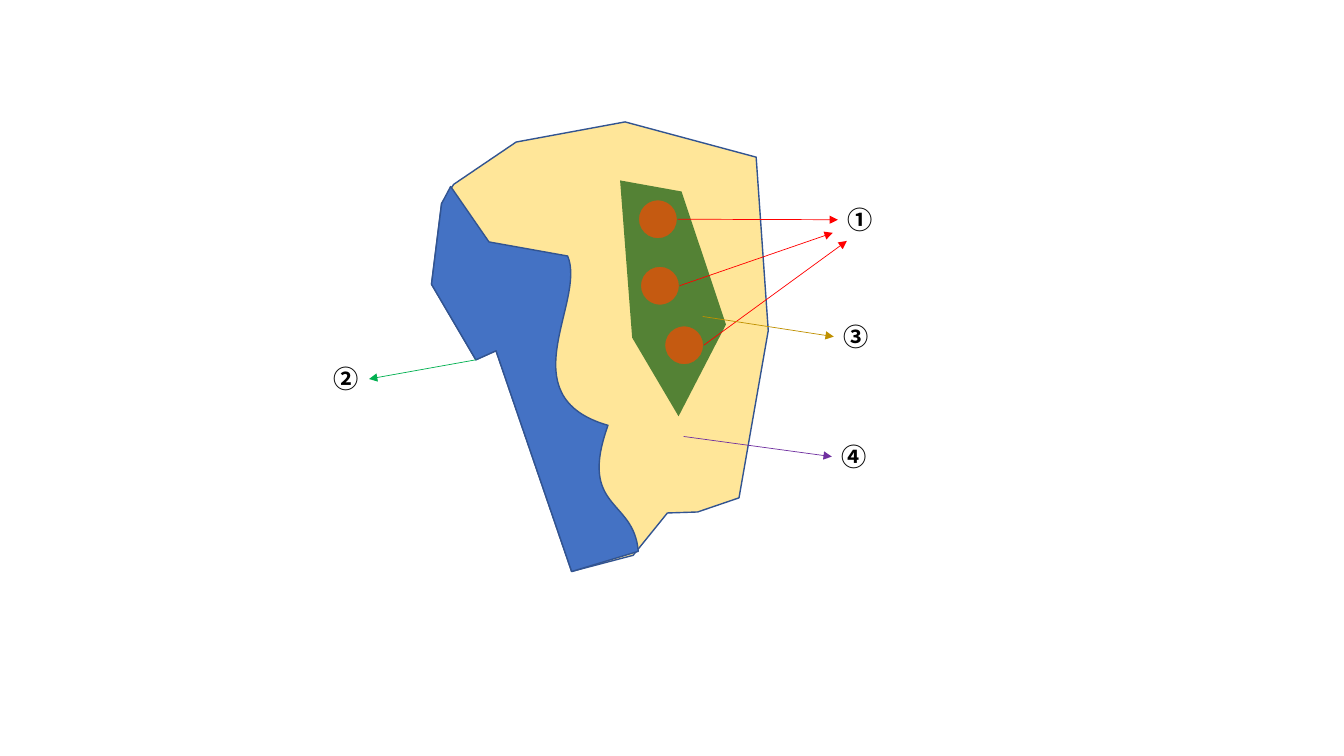
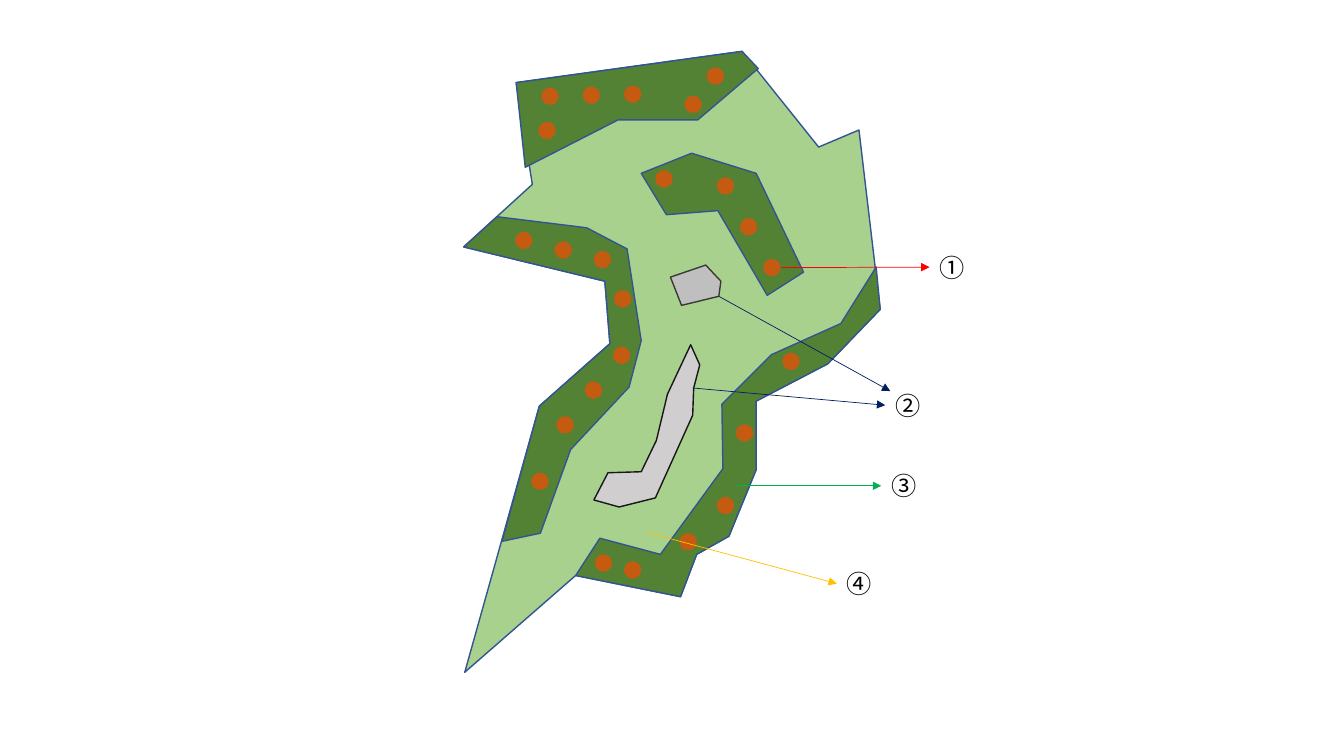
"""Builds two numbered site-zone diagrams as native shapes."""
from dataclasses import dataclass

from lxml.etree import SubElement
from pptx import Presentation
from pptx.dml.color import RGBColor
from pptx.enum.shapes import MSO_CONNECTOR as Connector, MSO_SHAPE as Preset
from pptx.enum.text import MSO_AUTO_SIZE as AutoSize
from pptx.oxml.ns import qn
from pptx.util import Inches, Pt


@dataclass(frozen=True)
class Theme:
    """Shared colours, type and line sizes."""
    font: str = "Noto Sans CJK KR"
    label_size: float = 18
    outline_width: float = 1
    arrow_width: float = 0.5
    ink: str = "000000"
    outline: str = "325491"
    sand: str = "FFE699"
    water: str = "4472C4"
    woods: str = "548235"
    lawn: str = "A9D18E"
    tree: str = "C55A11"
    stone: str = "BFBFBF"
    stone_edge: str = "3B3838"
    path_fill: str = "D0CECE"
    path_edge: str = "181717"
    red: str = "FF0000"
    green: str = "00B050"
    ochre: str = "BF9000"
    purple: str = "7030A0"
    navy: str = "002060"
    gold: str = "FFC000"


THEME = Theme()
SLIDE_SIZE = (13.33, 7.5)
LABEL_SIZE = (0.45, 0.4)
LEFT_SIDE, RIGHT_SIDE = 1, 3


def right_of(tree, size):
    """Return the middle of a tree's right side."""
    left, top = tree
    return left + size, top + size / 2


def plant(rows):
    """List the trees of all rows; a row with two ends gets a tree midway."""
    trees = []
    for row in rows:
        middle = tuple(sum(axis) / len(row) for axis in zip(*row))
        trees += [row[0], middle, row[-1]] if len(row) > 1 else row
    return trees


RIVER_BANK = [(4.38, 2.02), (4.28, 2.82), (4.72, 3.57), (4.92, 3.48), (5.67, 5.67)]
RIVER_SHORE = [(4.47, 1.85), (4.85, 2.4), (5.63, 2.54),
               (5.82, 2.99, 5.03, 3.93, 6.03, 4.22), (5.73, 5.06, 6.29, 4.94, 6.33, 5.47)]
SAND_EDGE = [(6.28, 5.51), (6.62, 5.09), (6.92, 5.08), (7.33, 4.94), (7.62, 3.28),
             (7.5, 1.56), (6.2, 1.21), (5.12, 1.41), (4.5, 1.83)]
THICKET = [(6.15, 1.79), (6.27, 3.35), (6.73, 4.13), (7.2, 3.22), (6.76, 1.9)]
BIG, SMALL = 0.39, 0.19
BIG_TREES = [(6.33, 1.98), (6.35, 2.64), (6.59, 3.23)]

WEST_EDGE = [(4.6, 2.45), (6, 2.79), (6.05, 3.41), (5.35, 4.03)]
WEST_INNER = [(4.98, 5.37), (5.36, 5.29), (5.66, 4.46), (6.24, 3.84), (6.36, 3.38),
              (6.22, 2.47), (5.82, 2.26), (4.93, 2.15)]
EAST_EDGE = [(5.71, 5.71), (6.75, 5.92), (6.91, 5.5), (7.23, 5.32), (7.5, 4.66),
             (7.5, 3.98), (8.21, 3.61), (8.73, 3.07)]
EAST_INNER = [(8.69, 2.65), (8.34, 3.21), (7.65, 3.52), (7.16, 4.01), (7.17, 4.65),
              (6.55, 5.5), (5.95, 5.34)]
NORTH_EDGE = [(7.36, 0.51), (5.12, 0.82)]
NORTH_INNER = [(5.21, 1.66), (6.13, 1.19), (6.92, 1.19), (7.52, 0.68)]
LAWN = (WEST_EDGE + [(4.61, 6.67)] + EAST_EDGE + [(8.52, 1.29), (8.12, 1.46)]
        + NORTH_EDGE + [(5.28, 1.83)])
GROVE = [(6.36, 1.72), (6.61, 2.13), (7.12, 2.09), (7.61, 2.93), (7.97, 2.7),
         (7.5, 1.72), (6.86, 1.52)]
STONE = [(7.13, 2.94), (7.15, 2.79), (7, 2.63), (6.65, 2.75), (6.76, 3.03)]
PATH = [(6.88, 3.85), (6.87, 4.12), (6.5, 4.94), (6.14, 5.03), (5.89, 4.96), (6.03, 4.69),
        (6.36, 4.68), (6.51, 4.37), (6.62, 3.91), (6.85, 3.42), (6.94, 3.62)]
SMALL_TREES = plant([
    [(5.1, 2.29), (5.88, 2.48)], [(6.08, 2.87)], [(6.07, 3.43), (5.51, 4.12)], [(5.26, 4.68)],
    [(5.33, 1.2)], [(5.36, 0.86), (6.18, 0.84)], [(6.78, 0.94)], [(7, 0.66)],
    [(7.75, 3.49)], [(7.29, 4.2)], [(7.1, 4.92)], [(6.73, 5.28)], [(6.18, 5.56)],
    [(5.89, 5.49)], [(6.49, 1.68)], [(7.1, 1.75), (7.56, 2.56)]])

FAN_ENDS = [("①", LEFT_SIDE), (8.26, 2.31), (8.4, 2.39)]

DIAGRAMS = [
    {
        "areas": [(THEME.sand, THEME.outline, SAND_EDGE + RIVER_BANK),
                  (THEME.water, THEME.outline, RIVER_SHORE + RIVER_BANK[::-1]),
                  (THEME.woods, None, THICKET)],
        "tree_size": BIG,
        "trees": BIG_TREES,
        "bold": True,
        "labels": {"①": (8.31, 1.98), "②": (3.21, 3.56),
                   "④": (8.25, 4.33), "③": (8.27, 3.14)},
        "arrows": [(THEME.red, right_of(tree, BIG), end)
                   for tree, end in zip(BIG_TREES, FAN_ENDS)] + [
            (THEME.green, RIVER_BANK[2], ("②", RIGHT_SIDE)),
            (THEME.ochre, (6.97, 3.14), ("③", LEFT_SIDE)),
            (THEME.purple, (6.78, 4.33), ("④", LEFT_SIDE))],
    },
    {
        "areas": [(THEME.lawn, THEME.outline, LAWN)] + [
            (THEME.woods, THEME.outline, belt)
            for belt in (NORTH_EDGE + NORTH_INNER, GROVE,
                         EAST_EDGE + EAST_INNER, WEST_EDGE + WEST_INNER)] + [
            (THEME.stone, THEME.stone_edge, STONE),
            (THEME.path_fill, THEME.path_edge, PATH)],
        "tree_size": SMALL,
        "trees": SMALL_TREES,
        "bold": False,
        "labels": {"①": (9.22, 2.45), "②": (8.78, 3.82),
                   "③": (8.74, 4.62), "④": (8.3, 5.59)},
        "arrows": [
            (THEME.red, right_of(SMALL_TREES[-1], SMALL), ("①", LEFT_SIDE)),
            (THEME.navy, PATH[0], ("②", LEFT_SIDE)),
            (THEME.navy, STONE[0], (8.83, 3.88)),
            (THEME.green, (7.29, 4.82), ("③", LEFT_SIDE)),
            (THEME.gold, (6.41, 5.28), ("④", LEFT_SIDE))],
    },
]


def color(value):
    """Return a colour object for a hex value."""
    return RGBColor.from_string(value)


def style_shape(shape, fill, outline):
    """Apply a flat fill and an optional outline."""
    shape.shadow.inherit = False
    shape.fill.solid()
    shape.fill.fore_color.rgb = color(fill)
    if outline:
        shape.line.color.rgb = color(outline)
        shape.line.width = Pt(THEME.outline_width)
    else:
        shape.line.fill.background()


def curve_segments(shape, vertices):
    """Turn each segment given with control points into a cubic curve."""
    segments = list(shape._element.iter(qn("a:lnTo")))
    for segment, vertex in zip(segments, vertices[1:]):
        if len(vertex) == 2:
            continue
        curve = segment.getparent().makeelement(qn("a:cubicBezTo"))
        for x, y in zip(vertex[::2], vertex[1::2]):
            SubElement(curve, qn("a:pt"), x=str(Inches(x) - shape.left),
                       y=str(Inches(y) - shape.top))
        segment.getparent().replace(segment, curve)


def add_area(shapes, fill, outline, vertices):
    """Draw a closed zone through the vertices."""
    points = [tuple(map(Inches, vertex[-2:])) for vertex in vertices]
    builder = shapes.build_freeform(*points[0])
    builder.add_line_segments(points[1:], close=True)
    shape = builder.convert_to_shape()
    curve_segments(shape, vertices)
    style_shape(shape, fill, outline)


def add_tree(shapes, left, top, size):
    """Draw one tree dot."""
    shape = shapes.add_shape(Preset.OVAL, *map(Inches, (left, top, size, size)))
    style_shape(shape, THEME.tree, THEME.woods)


def add_text(slide, text, left, top, size=THEME.label_size, ink=THEME.ink, bold=False):
    """Add a text box that does not wrap and return it."""
    shape = slide.shapes.add_textbox(*map(Inches, (left, top, *LABEL_SIZE)))
    shape.text_frame.word_wrap = False
    shape.text_frame.auto_size = AutoSize.SHAPE_TO_FIT_TEXT
    run = shape.text_frame.paragraphs[0].add_run()
    run.text = text
    run.font.size = Pt(size)
    run.font.bold = bold
    run.font.color.rgb = color(ink)
    run.font.name = THEME.font
    SubElement(run._r.get_or_add_rPr(), qn("a:ea"), typeface=THEME.font)
    return shape


def add_arrow(slide, labels, ink, start, target):
    """Draw an arrow to a point or to the side of a label."""
    label = labels.get(target[0])
    end = start if label else target
    arrow = slide.shapes.add_connector(Connector.STRAIGHT, *map(Inches, start + end))
    if label:
        arrow.end_connect(label, target[1])
    arrow.line.color.rgb = color(ink)
    arrow.line.width = Pt(THEME.arrow_width)
    properties = arrow._element.spPr
    SubElement(properties.find(qn("a:ln")), qn("a:tailEnd"), type="triangle")
    SubElement(properties, qn("a:effectLst"))


def build_slide(presentation, diagram):
    """Build one diagram on a blank slide."""
    slide = presentation.slides.add_slide(presentation.slide_layouts[6])
    site = slide.shapes.add_group_shape().shapes
    for area in diagram["areas"]:
        add_area(site, *area)
    for left, top in diagram["trees"]:
        add_tree(site, left, top, diagram["tree_size"])
    labels = {text: add_text(slide, text, *position, bold=diagram["bold"])
              for text, position in diagram["labels"].items()}
    for arrow in diagram["arrows"]:
        add_arrow(slide, labels, *arrow)


def main():
    """Build and save the presentation."""
    presentation = Presentation()
    presentation.slide_width, presentation.slide_height = map(Inches, SLIDE_SIZE)
    for diagram in DIAGRAMS:
        build_slide(presentation, diagram)
    presentation.save("out.pptx")


if __name__ == "__main__":
    main()
